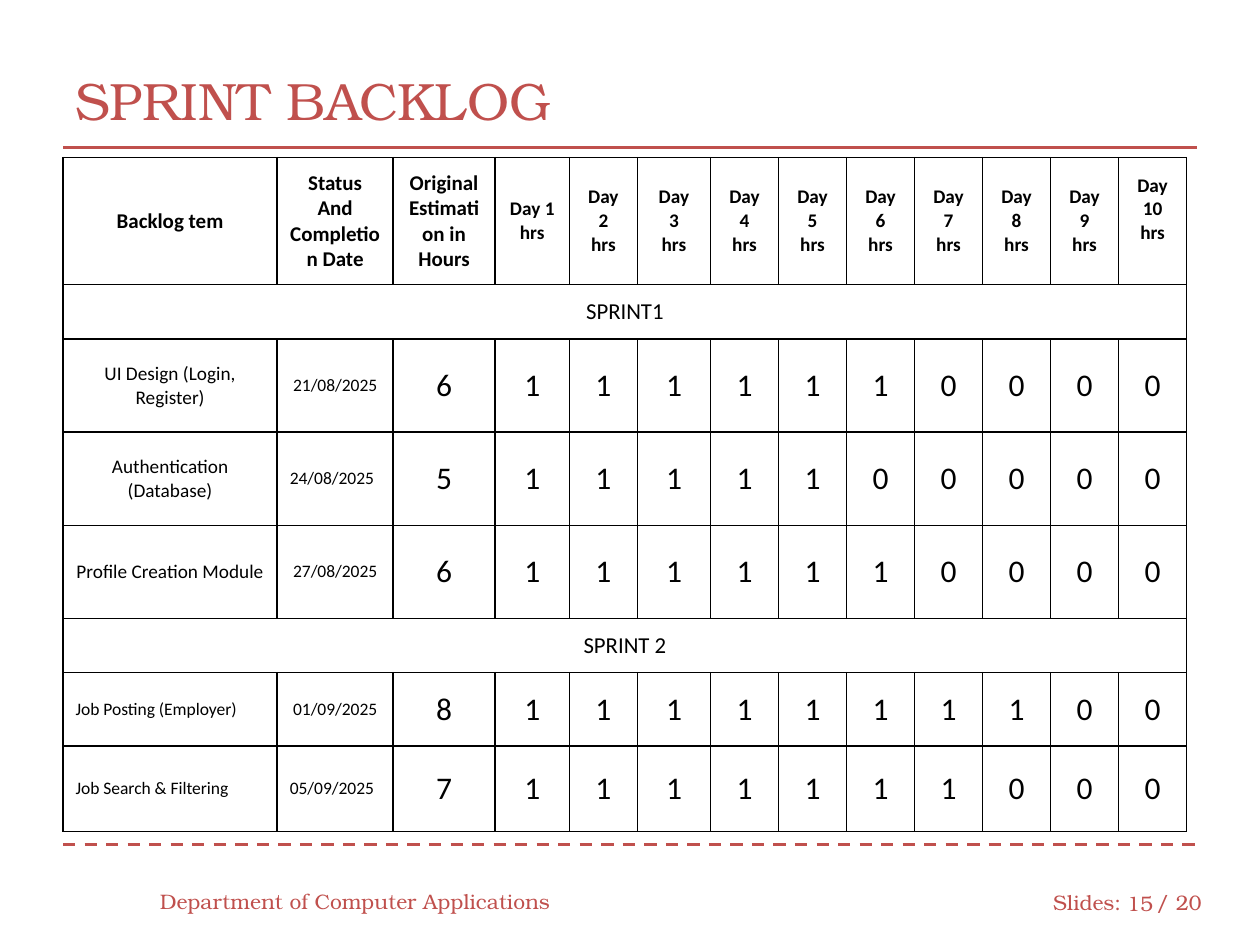
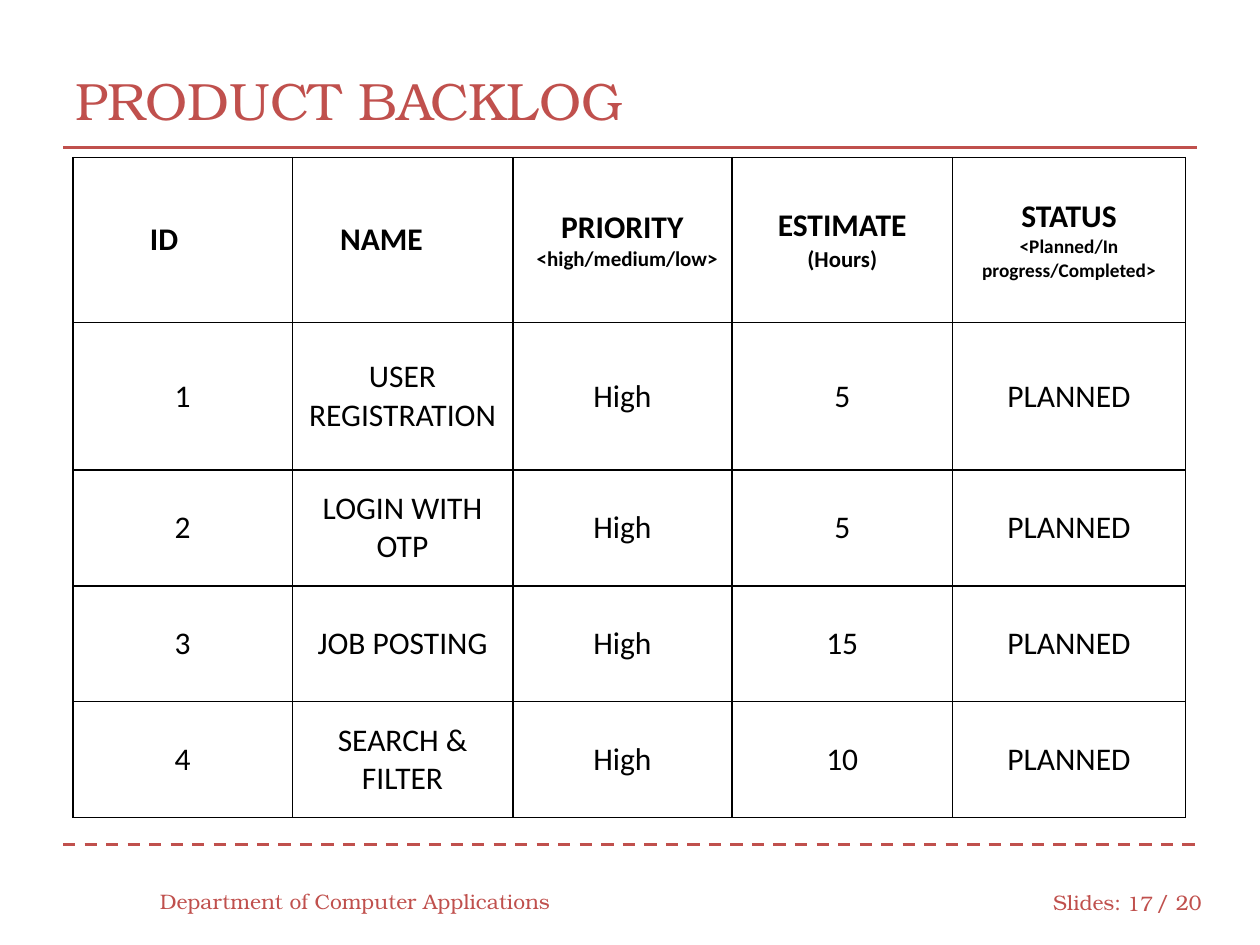
"""Build the sprint backlog and product backlog slides."""
from dataclasses import dataclass
from typing import Any, NamedTuple

from lxml.etree import SubElement
from pptx import Presentation
from pptx.dml.color import RGBColor
from pptx.enum.dml import MSO_LINE_DASH_STYLE as Dash
from pptx.enum.shapes import MSO_CONNECTOR as Connector
from pptx.enum.text import MSO_VERTICAL_ANCHOR as Anchor, PP_PARAGRAPH_ALIGNMENT as Align
from pptx.oxml import parse_xml
from pptx.oxml.ns import nsdecls, qn
from pptx.util import Emu, Pt

EMU_PER_PX = 9144


@dataclass(frozen=True)
class Theme:
    """Colours, fonts and type sizes of the deck."""

    accent: str = "C0504D"
    ink: str = "000000"
    paper: str = "FFFFFF"
    display_font: str = "TeX Gyre Bonum"
    table_font: str = "Calibri"
    title: int = 30
    footer: int = 12
    figure: int = 18
    sprint: int = 13
    head: int = 12
    label: int = 11
    small: int = 10
    rule: float = 1.75
    border: float = 1


THEME = Theme()


class Box(NamedTuple):
    """A rectangle in px."""

    left: int
    top: int
    width: int
    height: int


class Label(NamedTuple):
    """A line of page text in its box."""

    text: str
    box: Box
    size: int = THEME.footer
    align: Align = Align.LEFT


class Rule(NamedTuple):
    """A horizontal rule across the page."""

    top: int
    dash: Dash | None = None


class Line(NamedTuple):
    """A paragraph of a table cell."""

    text: str
    size: int = THEME.figure
    bold: bool = False
    align: Align = Align.CENTER
    indent: int = 0


class Entry(NamedTuple):
    """The content of a table cell."""

    lines: list[Line]
    margin_bottom: int = 10
    full_row: bool = False


class Grid(NamedTuple):
    """A table with its column widths and row heights in px."""

    left: int
    top: int
    widths: list[int]
    heights: list[int]
    rows: list[list[Entry]]


class Page(NamedTuple):
    """The content of one slide."""

    title: str
    number: int
    grid: Grid


class Task(NamedTuple):
    """A sprint task, worked one hour a day until it is done."""

    name: str
    date: str
    hours: int
    days_worked: int
    name_size: int = THEME.label
    name_align: Align = Align.CENTER
    date_align: Align = Align.CENTER


RULES = [Rule(670, Dash.DASH), Rule(117)]
FOOTER = [
    Label("Slides:", Box(826, 696, 75, 40)),
    Label("/ 20", Box(908, 696, 58, 40)),
    Label("Department of Computer Applications", Box(117, 695, 333, 40)),
]
TITLE_BOX = Box(50, 33, 900, 92)
NUMBER_BOX = Box(883, 697, 42, 40)
DAYS = 10

FIRST_SPRINT = [
    Task("UI Design (Login, Register)", "21/08/2025", 6, 6),
    Task("Authentication (Database)", "24/08/2025", 5, 5, date_align=Align.LEFT),
    Task("Profile Creation Module", "27/08/2025", 6, 6),
]
SECOND_SPRINT = [
    Task("Job Posting (Employer)", "01/09/2025", 8, 8, THEME.small, Align.LEFT),
    Task("Job Search & Filtering", "05/09/2025", 7, 7, THEME.small, Align.LEFT, Align.LEFT),
]
PRODUCT_ITEMS = [
    ("USER REGISTRATION", 5),
    ("LOGIN WITH OTP", 5),
    ("JOB POSTING", 15),
    ("SEARCH & FILTER", 10),
]


def px(length: int) -> Emu:
    """Turn px into EMU."""
    return Emu(length * EMU_PER_PX)


def apply(target: Any, formats: dict[str, Any]) -> None:
    """Set each format value on the target."""
    for name, value in formats.items():
        setattr(target, name, value)


def write(para: Any, text: str, font: str, size: int, color: str, bold: bool = False) -> None:
    """Add one formatted run to a paragraph."""
    span = para.add_run()
    span.text = text
    apply(span.font, {"name": font, "size": Pt(size), "bold": bold})
    span.font.color.rgb = RGBColor.from_string(color)


def draw_label(page: Any, label: Label) -> None:
    """Draw a line of page text."""
    frame = page.shapes.add_textbox(*map(px, label.box)).text_frame
    apply(frame, {"word_wrap": True, "vertical_anchor": Anchor.MIDDLE})
    para = frame.paragraphs[0]
    para.alignment = label.align
    write(para, label.text, THEME.display_font, label.size, THEME.accent)


def draw_rule(page: Any, rule: Rule) -> None:
    """Draw a horizontal rule without a shadow."""
    ends = map(px, (50, rule.top, 950, rule.top))
    connector = page.shapes.add_connector(Connector.STRAIGHT, *ends)
    connector.line.color.rgb = RGBColor.from_string(THEME.accent)
    apply(connector.line, {"width": Pt(THEME.rule), "dash_style": rule.dash})
    SubElement(connector._element.spPr, qn("a:effectLst"))


def draw_borders(cell: Any) -> None:
    """Put a solid line on all four sides of a cell."""
    properties = cell._tc.get_or_add_tcPr()
    for position, side in enumerate(("lnL", "lnR", "lnT", "lnB")):
        border = parse_xml(
            f'<a:{side} {nsdecls("a")} w="{Pt(THEME.border)}"><a:solidFill>'
            f'<a:srgbClr val="{THEME.ink}"/></a:solidFill></a:{side}>'
        )
        properties.insert(position, border)


def style_cell(cell: Any) -> None:
    """Give a cell its fill, margins and borders."""
    cell.fill.solid()
    cell.fill.fore_color.rgb = RGBColor.from_string(THEME.paper)
    margins = {f"margin_{side}": px(10) for side in ("left", "right", "top", "bottom")}
    apply(cell, margins | {"vertical_anchor": Anchor.MIDDLE})
    draw_borders(cell)


def fill_cell(cell: Any, entry: Entry) -> None:
    """Write the lines of an entry into a cell."""
    cell.margin_bottom = px(entry.margin_bottom)
    frame = cell.text_frame
    for position, line in enumerate(entry.lines):
        para = frame.add_paragraph() if position else frame.paragraphs[0]
        para.alignment = line.align
        if line.indent:
            para._p.get_or_add_pPr().set("marL", str(px(line.indent)))
        write(para, line.text, THEME.table_font, line.size, THEME.ink, line.bold)


def draw_grid(page: Any, grid: Grid) -> None:
    """Draw a table."""
    box = Box(grid.left, grid.top, sum(grid.widths), sum(grid.heights))
    shape = page.shapes.add_table(len(grid.heights), len(grid.widths), *map(px, box))
    table = shape.table
    apply(table, {"first_row": False, "horz_banding": False})
    for column, width in zip(table.columns, grid.widths):
        column.width = px(width)
    for row, height in zip(table.rows, grid.heights):
        row.height = px(height)
    for cell in table.iter_cells():
        style_cell(cell)
    for row_index, entries in enumerate(grid.rows):
        for column_index, entry in enumerate(entries):
            cell = table.cell(row_index, column_index)
            if entry.full_row:
                cell.merge(table.cell(row_index, len(grid.widths) - 1))
            fill_cell(cell, entry)


def day_heading(day: int) -> Entry:
    """Make the heading of a day column."""
    words = ["Day", str(day), "hrs"] if 3 <= day <= 5 else [f"Day {day}", "hrs"]
    lines = [Line(word, THEME.label, True) for word in words]
    return Entry(lines, 29 if day == DAYS else 10)


def sprint_row(name: str) -> list[Entry]:
    """Make a row that names a sprint."""
    return [Entry([Line(name, THEME.sprint)], full_row=True)]


def task_row(task: Task) -> list[Entry]:
    """Make the row of a sprint task."""
    figures = [task.hours] + [int(day < task.days_worked) for day in range(DAYS)]
    return [
        Entry([Line(task.name, task.name_size, align=task.name_align)]),
        Entry([Line(task.date, THEME.small, align=task.date_align)]),
        *(Entry([Line(str(figure))]) for figure in figures),
    ]


def sprint_grid() -> Grid:
    """Make the sprint backlog table."""
    names = ["Backlog tem", "Status And Completion Date", "Original Estimation in Hours"]
    headings = [Entry([Line(name, THEME.head, True)]) for name in names]
    headings += [day_heading(day) for day in range(1, DAYS + 1)]
    rows = [headings, sprint_row("SPRINT1"), *map(task_row, FIRST_SPRINT)]
    rows += [sprint_row("SPRINT 2"), *map(task_row, SECOND_SPRINT)]
    widths = [170, 92, 81, 59, 54, 58] + [54] * 7
    return Grid(50, 125, widths, [101, 43, 74, 74, 74, 43, 58, 68], rows)


def product_grid() -> Grid:
    """Make the product backlog table."""
    headings = [
        [Line("ID", bold=True, align=Align.LEFT, indent=51)],
        [Line("NAME", bold=True, align=Align.LEFT, indent=28)],
        [Line("PRIORITY", bold=True),
         Line("<high/medium/low>", THEME.head, True, Align.LEFT, 9)],
        [Line("ESTIMATE", bold=True), Line("(Hours)", THEME.sprint, True)],
        [Line("STATUS", bold=True),
         Line("<Planned/In progress/Completed>", THEME.label, True)],
    ]
    rows = [[Entry(lines) for lines in headings]]
    for number, (name, hours) in enumerate(PRODUCT_ITEMS, 1):
        values = [str(number), name, "High", str(hours), "PLANNED"]
        rows.append([Entry([Line(value)]) for value in values])
    return Grid(58, 125, [174, 175, 174, 175, 185], [131, 117] + [92] * 3, rows)


def draw_page(deck: Any, content: Page) -> None:
    """Draw one slide with its shared frame."""
    page = deck.slides.add_slide(deck.slide_layouts[6])
    for rule in RULES:
        draw_rule(page, rule)
    title = Label(content.title, TITLE_BOX, THEME.title)
    number = Label(str(content.number), NUMBER_BOX, align=Align.RIGHT)
    for label in [*FOOTER, title, number]:
        draw_label(page, label)
    draw_grid(page, content.grid)


def main() -> None:
    """Build and save the deck."""
    deck = Presentation()
    apply(deck, {"slide_width": px(1000), "slide_height": px(750)})
    draw_page(deck, Page("SPRINT BACKLOG", 15, sprint_grid()))
    draw_page(deck, Page("PRODUCT BACKLOG", 17, product_grid()))
    deck.save("out.pptx")


if __name__ == "__main__":
    main()
